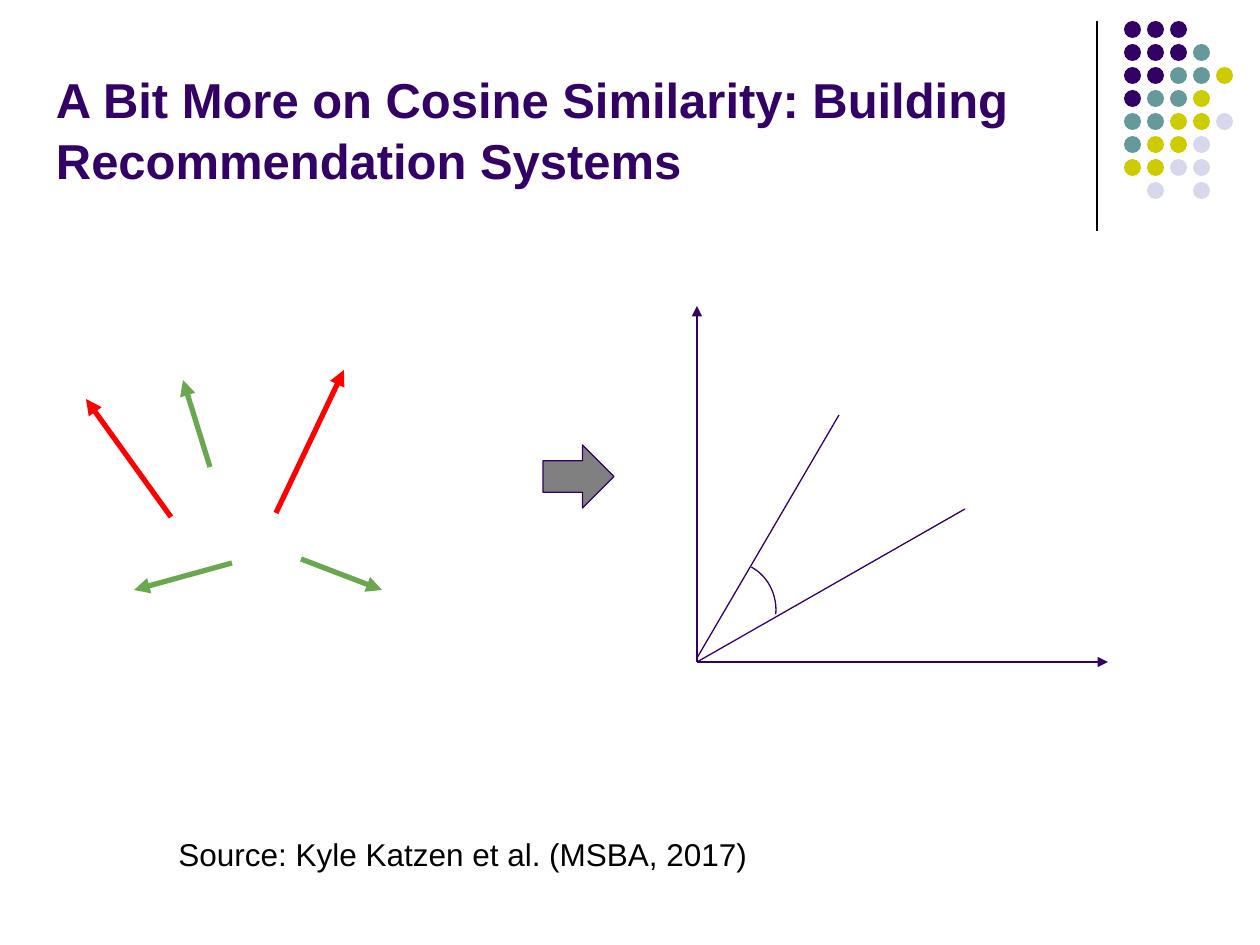
from dataclasses import dataclass

from lxml import etree
from pptx import Presentation
from pptx.dml.color import RGBColor
from pptx.enum import shapes, text
from pptx.oxml import ns
from pptx.util import Pt

EMU_PER_PX = 914400 / 126


@dataclass(frozen=True)
class Theme:
    font: str = "Arial"
    title_size: int = 28
    source_size: int = 18
    thin: float = 0.75
    thick: float = 3
    purple: str = "330066"
    teal: str = "669999"
    olive: str = "CCCC00"
    lavender: str = "D8D8EC"
    red: str = "FF0000"
    green: str = "6AA84F"
    gray: str = "808080"
    black: str = "000000"


THEME = Theme()


def px(value):
    return round(value * EMU_PER_PX)


def rgb(color):
    return RGBColor.from_string(color)


def add_line(parent, start, end, color, width, arrow=False):
    line = parent.add_connector(shapes.MSO_CONNECTOR.STRAIGHT,
                                *(px(value) for value in (*start, *end)))
    line.line.color.rgb = rgb(color)
    line.line.width = Pt(width)
    properties = line._element.spPr
    if arrow:
        etree.SubElement(line.line._get_or_add_ln(), ns.qn("a:tailEnd"), type="triangle")
    etree.SubElement(properties, ns.qn("a:effectLst"))


def add_shape(parent, kind, box, fill=None, outline=None):
    shape = parent.add_shape(kind, *(px(value) for value in box))
    shape.shadow.inherit = False
    if fill:
        shape.fill.solid()
        shape.fill.fore_color.rgb = rgb(fill)
    else:
        shape.fill.background()
    if outline:
        shape.line.color.rgb = rgb(outline)
        shape.line.width = Pt(THEME.thin)
    else:
        shape.line.fill.background()
    return shape


def add_text(slide, box, content, size, color, bold=False):
    text_box = slide.shapes.add_textbox(*(px(value) for value in box))
    frame = text_box.text_frame
    frame.text = content
    font = frame.paragraphs[0].runs[0].font
    font.name, font.size, font.bold = THEME.font, Pt(size), bold
    font.color.rgb = rgb(color)
    return frame


def add_corner_ornament(slide, left, top, height):
    # Divider beside the dot pattern
    add_line(slide.shapes, (left, top), (left, top + height), THEME.black, THEME.thin)

    # Dots, one letter per colour
    colors = {"P": THEME.purple, "T": THEME.teal, "O": THEME.olive, "L": THEME.lavender}
    rows = ("PPP", "PPPT", "PPTTO", "PTTO", "TTOOL", "TOOL", "OOLL", ".L.L")
    indent, pitch, diameter = 27, 23, 17
    dots = slide.shapes.add_group_shape().shapes
    for row, letters in enumerate(rows):
        for column, letter in enumerate(letters):
            if letter in colors:
                add_shape(dots, shapes.MSO_SHAPE.OVAL,
                          (left + indent + column * pitch, top + row * pitch,
                           diameter, diameter), colors[letter])


def add_title(slide, left, top, width, height):
    frame = add_text(slide, (left, top, width, height),
                     "A Bit More on Cosine Similarity: Building Recommendation Systems",
                     THEME.title_size, THEME.purple, bold=True)
    frame.word_wrap = True
    frame.vertical_anchor = text.MSO_ANCHOR.TOP
    frame.margin_left = frame.margin_right = frame.margin_bottom = px(13)
    frame.margin_top = px(15)
    frame.paragraphs[0].line_spacing = 1.03


def add_vectors(slide, left, top):
    # Scattered vectors: colour, start, end
    vectors = (
        (THEME.red, (190, 143), (258, 0)),
        (THEME.red, (85, 147), (0, 29)),
        (THEME.green, (124, 97), (97, 10)),
        (THEME.green, (146, 193), (48, 220)),
        (THEME.green, (215, 189), (296, 220)),
    )
    group = slide.shapes.add_group_shape().shapes
    for color, start, end in vectors:
        add_line(group, (left + start[0], top + start[1]),
                 (left + end[0], top + end[1]), color, THEME.thick, arrow=True)


def add_angle_plot(slide, left, top, width, height):
    group = slide.shapes.add_group_shape().shapes
    origin = (left, top + height)

    # The two compared vectors
    add_line(group, (left, top + height - 4), (left + 142, top + 109), THEME.purple, THEME.thin)
    add_line(group, origin, (left + 268, top + 203), THEME.purple, THEME.thin)

    # Axes
    for end in ((left, top), (left + width, top + height)):
        add_line(group, origin, end, THEME.purple, THEME.thin, arrow=True)

    # Angle between the vectors
    arc = add_shape(group, shapes.MSO_SHAPE.ARC, (left - 10, top + 256, 89, 96),
                    outline=THEME.purple)
    arc.adjustments[0] = 176.92
    arc.adjustments[1] = 3.18


def add_source(slide, left, top, width, height):
    frame = add_text(slide, (left, top, width, height),
                     "Source: Kyle Katzen et al. (MSBA, 2017)",
                     THEME.source_size, THEME.black)
    frame.word_wrap = False
    frame.auto_size = text.MSO_AUTO_SIZE.SHAPE_TO_FIT_TEXT


def main():
    presentation = Presentation()
    presentation.slide_width, presentation.slide_height = px(1260), px(945)
    slide = presentation.slides.add_slide(presentation.slide_layouts[6])

    add_corner_ornament(slide, 1097, 21, 210)
    add_title(slide, 43, 53, 1174, 79)
    add_vectors(slide, 86, 370)
    add_angle_plot(slide, 697, 306, 411, 356)
    add_shape(slide.shapes, shapes.MSO_SHAPE.RIGHT_ARROW, (543, 445, 71, 63),
              THEME.gray, THEME.purple)
    add_source(slide, 166, 829, 600, 50)

    presentation.save("out.pptx")


if __name__ == "__main__":
    main()
